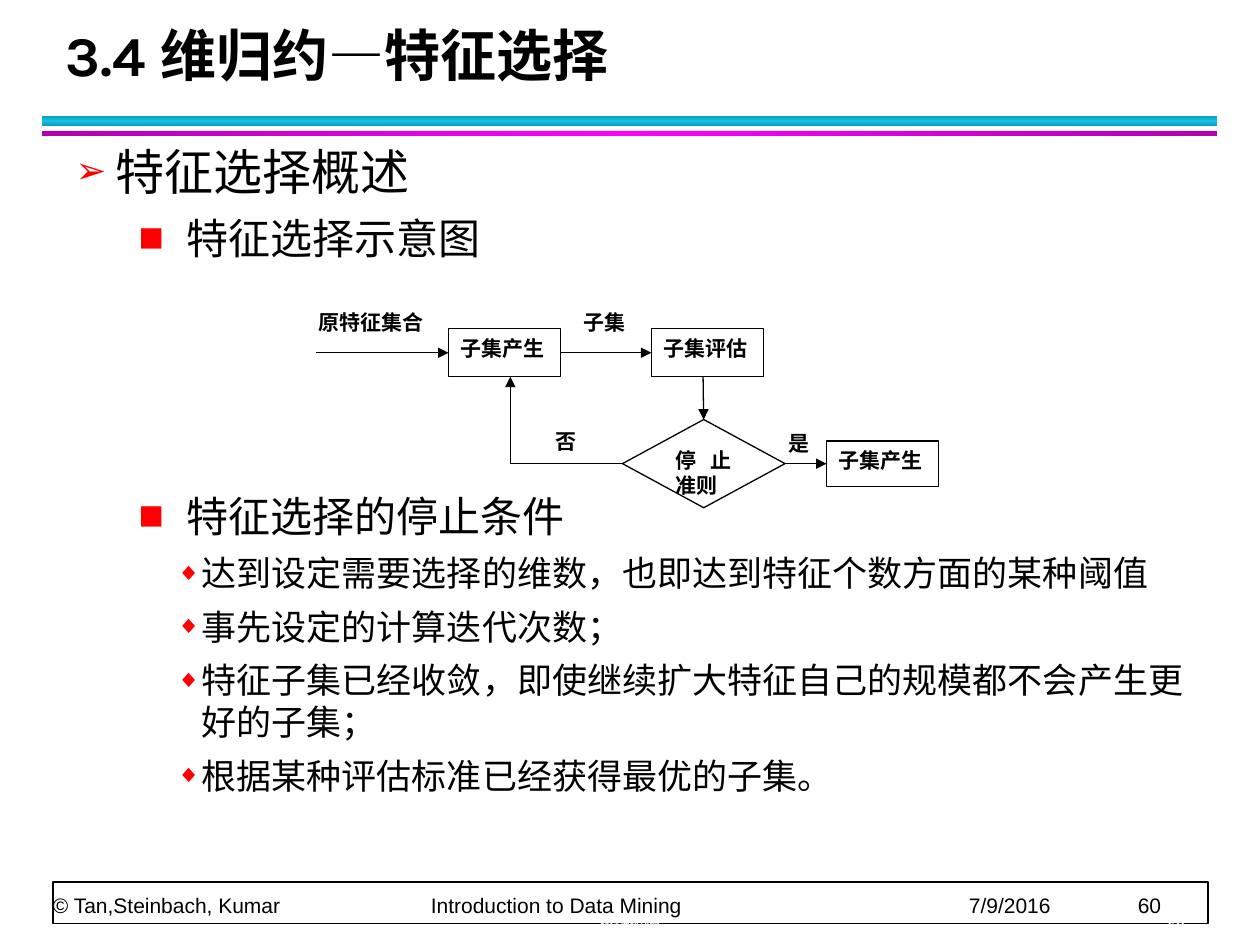
from dataclasses import dataclass

from lxml.etree import SubElement
from pptx import Presentation
from pptx.dml.color import RGBColor
from pptx.enum.shapes import MSO_CONNECTOR, MSO_SHAPE
from pptx.enum.text import MSO_ANCHOR, MSO_AUTO_SIZE, PP_ALIGN
from pptx.oxml.ns import qn
from pptx.util import Inches, Pt


@dataclass(frozen=True)
class Theme:
    black: str = "000000"
    white: str = "FFFFFF"
    bullet: str = "FF0000"
    cyan: tuple = ("0E9BBA", "12C2E9", "0E9BBA")
    magenta: tuple = ("B200B2", "FF00FF", "B200B2")
    title_font: str = "Karla"
    body_font: str = "Arial"
    diagram_font: str = "Times New Roman"
    title_size: float = 32
    level_sizes: tuple = (28, 24, 20)
    small_size: float = 12
    footer_size: float = 5.7
    number_size: float = 8.4


THEME = Theme()

# For each level: character, size in percent, margin, indent, space before
BULLETS = (
    ("➢", 75, 0.32, -0.32, 3.5),
    ("■", 100, 0.88, -0.38, 3),
    ("◆", 70, 1, -0.2, 2.5),
)
DIAGRAM_GAP = 126
OUTLINE = (
    (0, "特征选择概述", 0),
    (1, "特征选择示意图", None),
    (1, "特征选择的停止条件", DIAGRAM_GAP),
    (2, "达到设定需要选择的维数，也即达到特征个数方面的某种阈值", None),
    (2, "事先设定的计算迭代次数；", None),
    (2, "特征子集已经收敛，即使继续扩大特征自己的规模都不会产生更好的子集；", None),
    (2, "根据某种评估标准已经获得最优的子集。", None),
)


def place(shape, left, top, width, height):
    shape.left, shape.top = Inches(left), Inches(top)
    shape.width, shape.height = Inches(width), Inches(height)


def write_text(paragraph, text, *, size, font=THEME.body_font, color=THEME.black,
               bold=False, align=PP_ALIGN.LEFT, line_spacing=None):
    paragraph.alignment = align
    if line_spacing:
        paragraph.line_spacing = Pt(line_spacing)
    run = paragraph.add_run()
    run.text = text
    run.font.size = Pt(size)
    run.font.name = font
    run.font.bold = bold
    run.font.color.rgb = RGBColor.from_string(color)


def set_bullet(paragraph, level):
    character, percent, margin, indent, _ = BULLETS[level]
    properties = paragraph._p.get_or_add_pPr()
    properties.set("marL", str(Inches(margin)))
    properties.set("indent", str(Inches(indent)))
    color = SubElement(properties, qn("a:buClr"))
    SubElement(color, qn("a:srgbClr"), val=THEME.bullet)
    SubElement(properties, qn("a:buSzPct"), val=str(percent * 1000))
    SubElement(properties, qn("a:buChar"), char=character)


def set_tabs(paragraph, positions):
    tabs = SubElement(paragraph._p.get_or_add_pPr(), qn("a:tabLst"))
    for position in positions:
        SubElement(tabs, qn("a:tab"), pos=str(Inches(position)), algn="l")


def add_box(slide, bounds, text="", *, kind=MSO_SHAPE.RECTANGLE, outline=None):
    shape = slide.shapes.add_shape(kind, *map(Inches, bounds))
    shape.shadow.inherit = False
    shape.fill.solid()
    shape.fill.fore_color.rgb = RGBColor.from_string(THEME.white)
    if outline:
        shape.line.color.rgb = RGBColor.from_string(THEME.black)
        shape.line.width = Pt(outline)
    else:
        shape.line.fill.background()
    if text:
        frame = shape.text_frame
        frame.word_wrap = True
        frame.vertical_anchor = MSO_ANCHOR.TOP
        write_text(frame.paragraphs[0], text, size=THEME.small_size,
                   font=THEME.diagram_font, bold=True, align=PP_ALIGN.JUSTIFY)
    return shape


def add_gradient_bar(slide, bounds, colors, angle):
    bar = add_box(slide, bounds)
    bar.fill.gradient()
    bar.fill.gradient_angle = angle
    stops = bar._element.spPr.find(".//" + qn("a:gsLst"))
    stops.clear()
    for index, color in enumerate(colors):
        stop = SubElement(stops, qn("a:gs"), pos=str(index * 50000))
        SubElement(stop, qn("a:srgbClr"), val=color)


def add_text_box(slide, bounds, text, *, anchor, margins=True, tabs=(), **style):
    frame = slide.shapes.add_textbox(*map(Inches, bounds)).text_frame
    frame.word_wrap = True
    frame.vertical_anchor = anchor
    if not margins:
        frame.margin_left = frame.margin_right = 0
        frame.margin_top = frame.margin_bottom = 0
    if tabs:
        set_tabs(frame.paragraphs[0], tabs)
    write_text(frame.paragraphs[0], text, **style)


def add_line(slide, start, end, *, source=None, target=None, arrow=True):
    """Draw a line; source and target are (shape, connection site) pairs."""
    line = slide.shapes.add_connector(MSO_CONNECTOR.STRAIGHT, *map(Inches, start + end))
    line.line.color.rgb = RGBColor.from_string(THEME.black)
    line.line.width = Pt(0.75)
    if source:
        line.begin_connect(*source)
    if target:
        line.end_connect(*target)
    if arrow:
        SubElement(line.line._get_or_add_ln(), qn("a:tailEnd"), type="triangle")
    SubElement(line._element.spPr, qn("a:effectLst"))


def fill_title(title):
    place(title, 0.42, 0.17, 9.06, 0.58)
    frame = title.text_frame
    frame.auto_size = MSO_AUTO_SIZE.NONE
    frame.vertical_anchor = MSO_ANCHOR.BOTTOM
    write_text(frame.paragraphs[0], "3.4 维归约—特征选择", size=THEME.title_size,
               font=THEME.title_font, bold=True, line_spacing=36)


def fill_outline(body):
    place(body, 0.5, 1.07, 9, 5.59)
    frame = body.text_frame
    frame.auto_size = MSO_AUTO_SIZE.NONE
    for index, (level, text, space_before) in enumerate(OUTLINE):
        paragraph = frame.add_paragraph() if index else frame.paragraphs[0]
        paragraph.level = level
        paragraph.space_before = Pt(BULLETS[level][4] if space_before is None else space_before)
        paragraph.space_after = Pt(4)
        set_bullet(paragraph, level)
        write_text(paragraph, text, size=THEME.level_sizes[level])


def add_footer(slide):
    add_box(slide, (0.42, 7, 9.17, 0.33), outline=1)
    add_text_box(slide, (0.42, 6.72, 9.15, 0.56),
                 "© Tan,Steinbach, Kumar\tIntroduction to Data Mining\t7/9/2016\t60",
                 anchor=MSO_ANCHOR.BOTTOM, margins=False, tabs=(3, 7.27, 8.61),
                 size=THEME.small_size, line_spacing=20)
    add_text_box(slide, (3.11, 7.25, 3.78, 0.21), "特征选择研究", anchor=MSO_ANCHOR.MIDDLE,
                 size=THEME.footer_size, color=THEME.white, bold=True, align=PP_ALIGN.CENTER)
    add_text_box(slide, (7.17, 7.21, 2.33, 0.25), "60", anchor=MSO_ANCHOR.MIDDLE,
                 size=THEME.number_size, color=THEME.white, bold=True, align=PP_ALIGN.RIGHT)


def add_flowchart(slide):
    add_box(slide, (2.43, 2.41, 1.13, 0.37), "原特征集合")
    add_box(slide, (4.53, 2.41, 0.59, 0.32), "子集")
    add_box(slide, (4.31, 3.35, 0.48, 0.37), "否")
    add_box(slide, (6.16, 3.37, 0.48, 0.37), "是")
    generation = add_box(slide, (3.56, 2.61, 0.89, 0.38), "子集产生", outline=0.75)
    evaluation = add_box(slide, (5.17, 2.61, 0.89, 0.38), "子集评估", outline=0.75)
    result = add_box(slide, (6.56, 3.5, 0.89, 0.36), "子集产生", outline=0.75)
    decision = add_box(slide, (4.94, 3.33, 1.29, 0.7), "停止准则",
                       kind=MSO_SHAPE.FLOWCHART_DECISION, outline=0.75)
    corner = (4.05, 3.68)
    add_line(slide, (2.51, 2.8), (3.56, 2.8), target=(generation, 1))
    add_line(slide, (4.45, 2.8), (5.17, 2.8), source=(generation, 3), target=(evaluation, 1))
    add_line(slide, (5.58, 2.99), (5.58, 3.33), target=(decision, 0))
    add_line(slide, (4.94, 3.68), corner, source=(decision, 1), arrow=False)
    add_line(slide, corner, (4.05, 2.99))
    add_line(slide, (6.23, 3.68), (6.56, 3.68), source=(decision, 3), target=(result, 1))


def main():
    presentation = Presentation()
    presentation.slide_width, presentation.slide_height = Inches(10), Inches(7.5)
    slide = presentation.slides.add_slide(presentation.slide_layouts[1])
    add_gradient_bar(slide, (0.33, 0.92, 9.33, 0.08), THEME.cyan, 90)
    add_gradient_bar(slide, (0.33, 1.04, 9.33, 0.04), THEME.magenta, 0)
    fill_title(slide.shapes.title)
    fill_outline(slide.placeholders[1])
    add_footer(slide)
    add_flowchart(slide)
    presentation.save("out.pptx")


if __name__ == "__main__":
    main()
